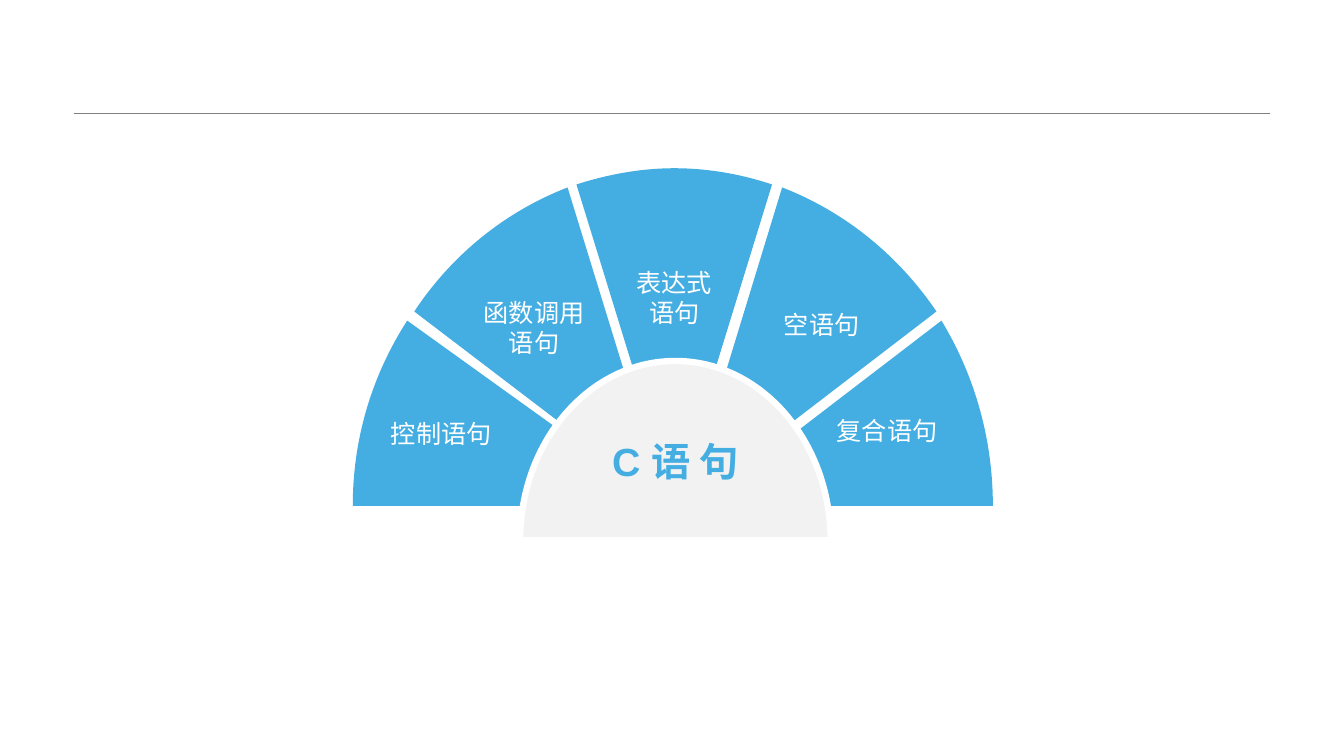
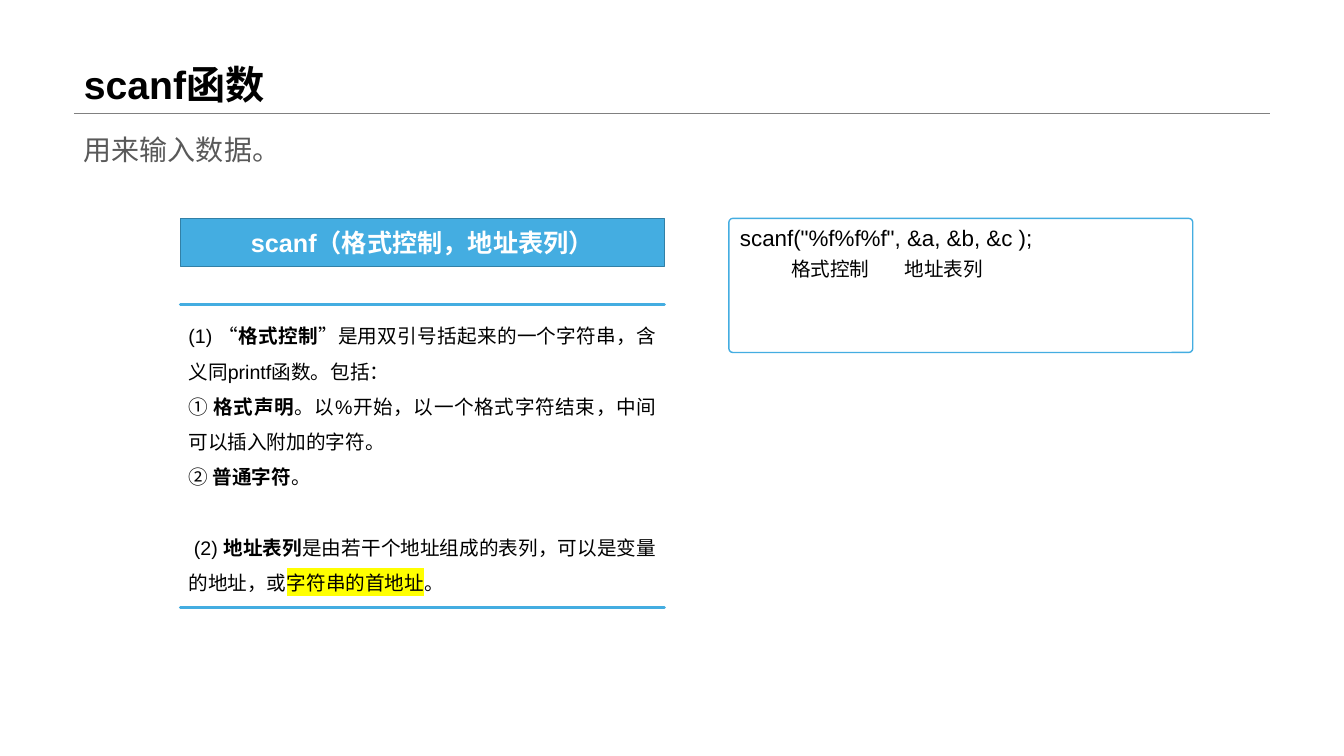
import pptx
import pptx.util
import pptx.dml.color
import pptx.enum.lang
import pptx.enum.shapes
import pptx.enum.text
from lxml import etree

Pt = pptx.util.Pt
Align = pptx.enum.text.PP_ALIGN
Anchor = pptx.enum.text.MSO_ANCHOR
Form = pptx.enum.shapes.MSO_SHAPE
NS = "{http://schemas.openxmlformats.org/drawingml/2006/main}"

BLUE, EDGE, WHITE, BLACK = "44ADE1", "3280A6", "FFFFFF", "000000"
GREY, PALE, RULE, MARK = "595959", "F2F2F2", "808080", "FFFF00"
FONT = "Arial"
INSET = (7.2, 3.6, 7.2, 3.6)
LEFT, WIDTH, RULE_Y = 52.8, 854.4, 81

LABEL = {"size": 18, "color": WHITE, "align": Align.CENTER, "anchor": Anchor.MIDDLE}
HEAD = {"size": 28, "bold": True, "lead": 0.9, "anchor": Anchor.BOTTOM}
LEAD = {"size": 20, "color": GREY, "lead": 0.9, "before": 10}
NOTE = {"size": 14, "align": Align.JUSTIFY, "lead": 1.5, "inset": (5.8,) * 4}
BOLD = {"bold": True}

WEDGES = [
    ([(551.5, 131.8), [(529.9, 124.6), (506.2, 120.2), (481.7, 120.2)],
      [(458, 120.2), (434.2, 124.6), (411.8, 131.8)], (481.7, 358.6)],
     ["表达式", "语句"], (7.2, 3.6, 7.2, 57)),
    ([(668.9, 222.5), [(641.5, 182.2), (603.4, 151.2), (558.7, 133.9)], (489.6, 360)],
     ["空语句"], (22.3, 3.6, 7.2, 34)),
    ([(405.4, 133.9), [(360.7, 151.2), (322.6, 182.2), (295.9, 222.5)], (474.5, 358.6)],
     ["函数调用", "语句"], (7.2, 3.6, 14.4, 28)),
    ([(499.7, 361.4), (709.2, 361.4), [(709.2, 312), (695.5, 267.1), (672.5, 229)]],
     ["复合语句"], (65.5, 28, 7.2, 3.6)),
    ([(475.2, 361.4), (252, 361.4), [(252, 312), (266.4, 267.1), (290.9, 229)]],
     [], INSET),
]
DOME = [(593.3, 385.9), [(593.3, 315.4), (543.6, 257.8), (482.4, 257.8)],
        [(421.2, 257.8), (371.5, 315.4), (371.5, 385.9)]]
DETAILS = [
    [("(1) “", {}), ("格式控制", BOLD),
     ("”是用双引号括起来的一个字符串，含义同printf函数。包括：", {})],
    [("① ", {}), ("格式声明", BOLD),
     ("。以%开始，以一个格式字符结束，中间可以插入附加的字符。", {})],
    [("② ", {}), ("普通字符", BOLD), ("。", {})],
    [(" (2) ", {}), ("地址表列", BOLD),
     ("是由若干个地址组成的表列，可以是变量的地址，或", {}),
     ("字符串的首地址", {"mark": MARK}), ("。", {})],
]


def rgb(code):
    """Turn a hex string into a colour."""
    return pptx.dml.color.RGBColor.from_string(code)


def assign(item, values):
    """Set each attribute in values on item."""
    for name, value in values.items():
        setattr(item, name, value)


def paint(shape, fill=None, line=None, width=1):
    """Give a shape its fill and outline, without a shadow."""
    shape.shadow.inherit = False
    if fill:
        shape.fill.solid()
        shape.fill.fore_color.rgb = rgb(fill)
    else:
        shape.fill.background()
    if line:
        shape.line.color.rgb = rgb(line)
        shape.line.width = Pt(width)
    else:
        shape.line.fill.background()


def tint(run, code):
    """Highlight the text of a run."""
    mark = etree.Element(NS + "highlight")
    etree.SubElement(mark, NS + "srgbClr", val=code)
    run.font._element.find(NS + "latin").addprevious(mark)


def write(shape, paras, style):
    """Fill a shape with paragraphs of plain text or styled runs."""
    frame = shape.text_frame
    left, top, right, low = style.get("inset", INSET)
    assign(frame, {
        "word_wrap": True, "vertical_anchor": style.get("anchor", Anchor.TOP),
        "margin_left": Pt(left), "margin_top": Pt(top),
        "margin_right": Pt(right), "margin_bottom": Pt(low)})
    for rank, runs in enumerate(paras):
        para = frame.add_paragraph() if rank else frame.paragraphs[0]
        assign(para, {
            "alignment": style.get("align", Align.LEFT),
            "line_spacing": style.get("lead", 1.0),
            "space_before": Pt(style.get("before", 0))})
        for text, extra in [(runs, {})] if isinstance(runs, str) else runs:
            look = {**style, **extra}
            run = para.add_run()
            run.text = text
            run.font.color.rgb = rgb(look.get("color", BLACK))
            assign(run.font, {
                "name": FONT, "size": Pt(look["size"]), "bold": look.get("bold", False),
                "language_id": pptx.enum.lang.MSO_LANGUAGE_ID.SIMPLIFIED_CHINESE})
            if "mark" in look:
                tint(run, look["mark"])
    return frame


def text(slide, box, paras, style):
    """Add a text box."""
    return write(slide.shapes.add_textbox(*map(Pt, box)), paras, style)


def panel(slide, form, box, paras, style, fill, line):
    """Add an outlined shape that holds text."""
    shape = slide.shapes.add_shape(form, *map(Pt, box))
    paint(shape, fill, line)
    write(shape, paras, style)
    return shape


def rule(slide, left, top, width, color, weight):
    """Draw a level line."""
    line = slide.shapes.add_connector(
        pptx.enum.shapes.MSO_CONNECTOR.STRAIGHT,
        Pt(left), Pt(top), Pt(left + width), Pt(top))
    line.line.color.rgb = rgb(color)
    line.line.width = Pt(weight)
    etree.SubElement(line._element.spPr, NS + "effectLst")


def outline(slide, steps):
    """Build a closed outline from corners and lists of three curve points."""
    groups = [step if isinstance(step, list) else [step] for step in steps]
    spots = [(Pt(x), Pt(y)) for group in groups for x, y in group]
    pen = slide.shapes.build_freeform(*spots[0])
    pen.add_line_segments(spots[1:], close=True)
    shape = pen.convert_to_shape()
    sides = iter(list(shape._element.iter(NS + "lnTo")))
    for group in groups[1:]:
        parts = [next(sides) for _ in group]
        if len(parts) == 3:
            curve = etree.Element(NS + "cubicBezTo")
            parts[0].addprevious(curve)
            for part in parts:
                curve.append(part[0])
                part.getparent().remove(part)
    return shape


def frame(slide, left, top, width, high):
    """Build an open frame of a bottom and a top line."""
    near, far = Pt(left), Pt(left + width)
    low, peak = Pt(top + high), Pt(top)
    pen = slide.shapes.build_freeform(near, low)
    pen.add_line_segments([(far, low), (near, low)], close=True)
    pen.move_to(near, peak)
    pen.add_line_segments([(far, peak), (near, peak)], close=True)
    shape = pen.convert_to_shape()
    paint(shape, None, BLUE, 2)
    return shape


def page(deck):
    """Add a blank slide with the header rule."""
    slide = deck.slides.add_slide(deck.slide_layouts[6])
    rule(slide, LEFT, RULE_Y, WIDTH, RULE, 0.25)
    return slide


def fan(deck):
    """Build the slide with the fan of C statements."""
    slide = page(deck)
    for steps, words, inset in WEDGES:
        wedge = outline(slide, steps)
        paint(wedge, BLUE)
        write(wedge, words, {**LABEL, "inset": inset})
    dome = outline(slide, DOME)
    paint(dome, PALE, WHITE, 4.5)
    write(dome, ["C 语 句"], {**LABEL, "size": 28, "bold": True, "color": BLUE,
                            "inset": (0, 14.4, 0, 0)})
    text(slide, (272.2, 295.2, 115.2, 40.3), ["控制语句"], {"size": 18, "color": WHITE})


def scan(deck):
    """Build the slide on the scanf function."""
    slide = page(deck)
    text(slide, (LEFT, 0, WIDTH, RULE_Y), ["scanf函数"], HEAD)
    text(slide, (LEFT, 93.6, 674.6, 46.8), ["用来输入数据。"], LEAD)
    left, width, top = 128.8, 345.8, 156
    panel(slide, Form.RECTANGLE, (left, top, width, 34.4),
          ["scanf（格式控制，地址表列）"], {**LABEL, "bold": True}, BLUE, EDGE)
    code = panel(slide, Form.ROUNDED_RECTANGLE, (520.6, top, 331.4, 95.8),
                 ['scanf("%f%f%f", &a, &b, &c );'], {"size": 16}, WHITE, BLUE)
    code.adjustments[0] = 0.03
    parts = text(slide, (558, 180, 200, 24.5), ["格式控制\t地址表列"], {"size": 14})
    tabs = etree.SubElement(parts.paragraphs[0]._p.get_or_add_pPr(), NS + "tabLst")
    etree.SubElement(tabs, NS + "tab", pos=str(Pt(81)), algn="l")
    notes = write(frame(slide, left, 217.4, width, 216.8), DETAILS, NOTE)
    notes.paragraphs[-1].space_before = Pt(25)


def main():
    """Build and save the deck."""
    deck = pptx.Presentation()
    assign(deck, {"slide_width": Pt(960), "slide_height": Pt(540)})
    fan(deck)
    scan(deck)
    deck.save("out.pptx")


main()
